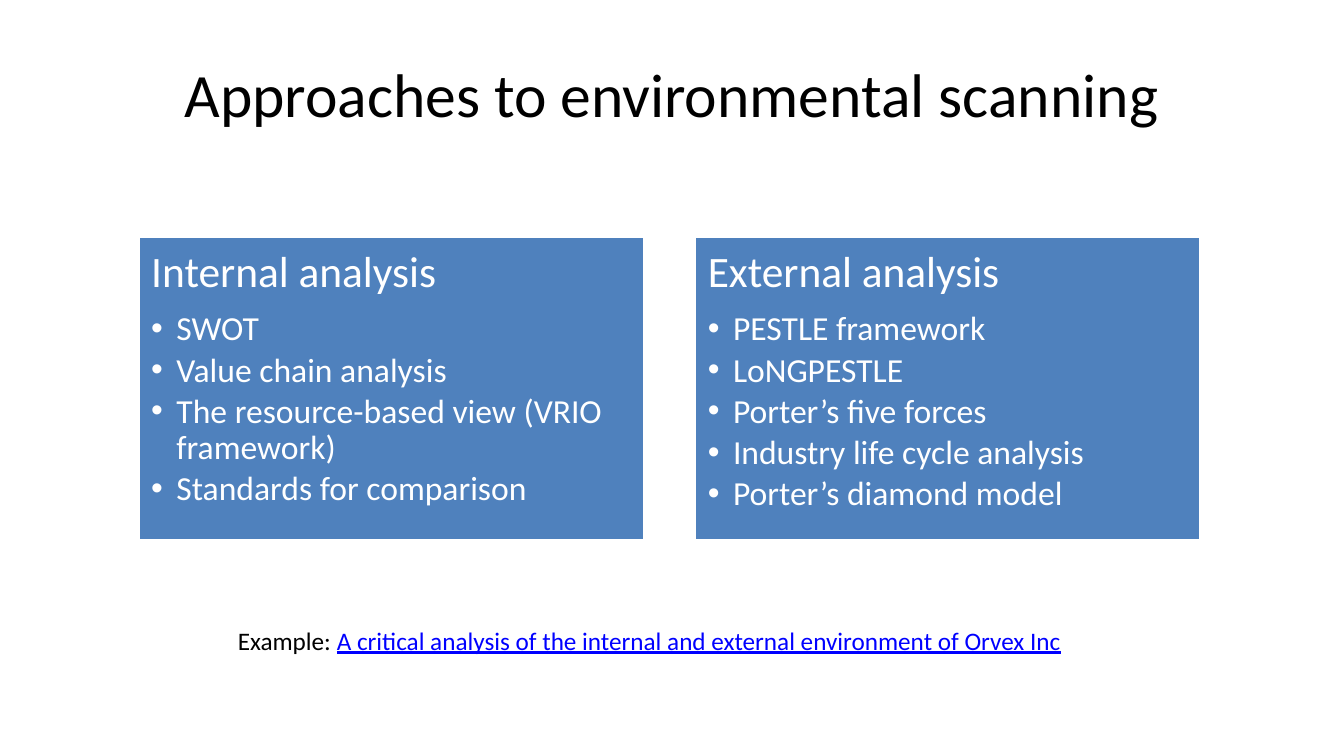
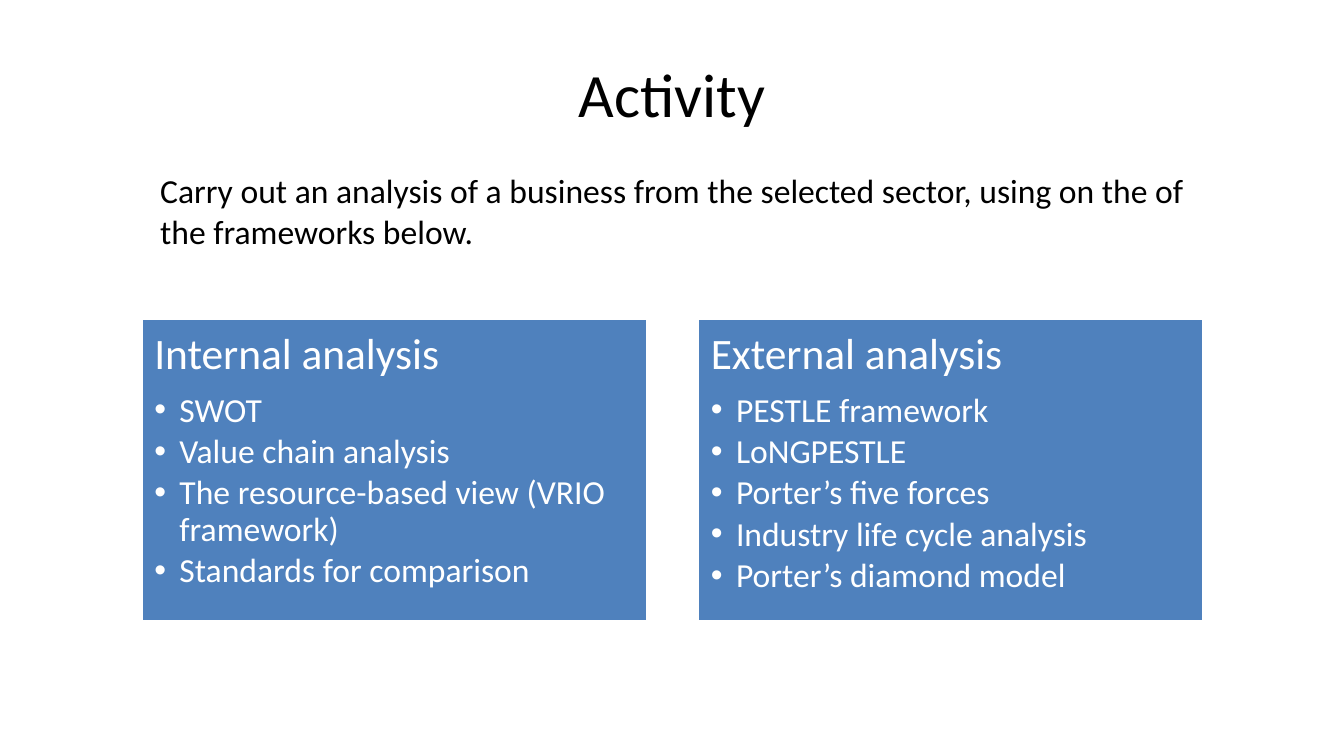
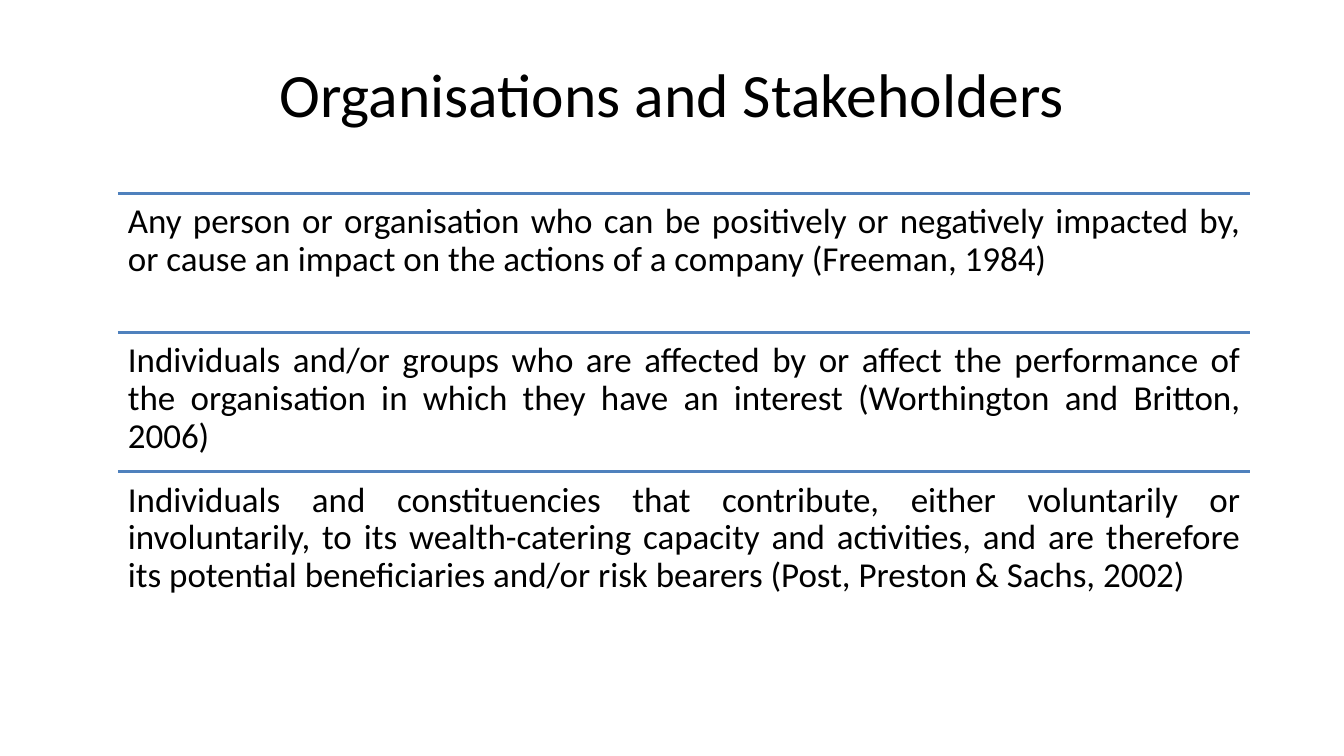
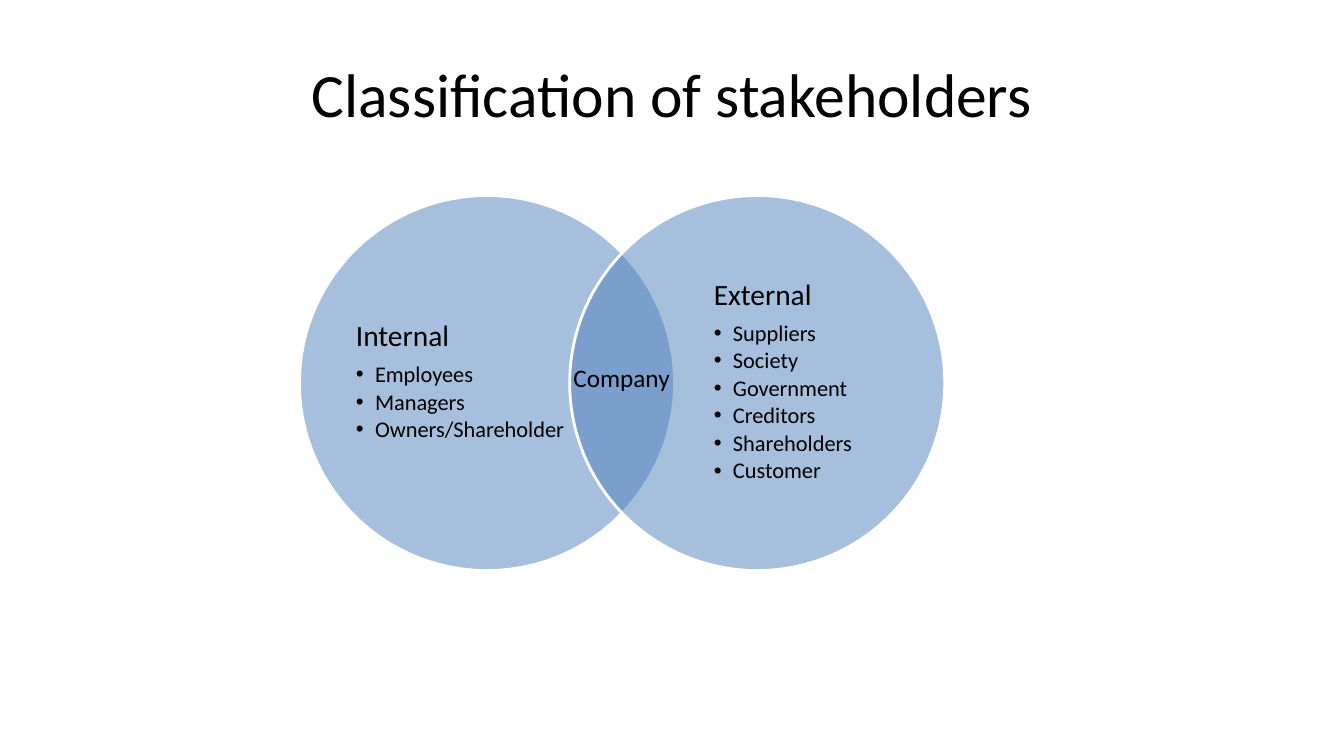
from pptx import Presentation
from pptx.dml.color import RGBColor
from pptx.enum.shapes import MSO_CONNECTOR, MSO_SHAPE
from pptx.enum.text import MSO_ANCHOR as ANCHOR, PP_ALIGN as ALIGN
from pptx.oxml.ns import qn
from pptx.util import Emu, Pt
from lxml import etree

PX = 9144  # EMU per px, 100 px to the inch
COLORS = {"accent": "4F81BD", "white": "FFFFFF", "black": "000000", "link": "0000FF"}

INTERNAL = ["Internal analysis", "SWOT", "Value chain analysis",
            "The resource-based view (VRIO framework)", "Standards for comparison"]
EXTERNAL = ["External analysis", "PESTLE framework", "LoNGPESTLE", "Porter’s five forces",
            "Industry life cycle analysis", "Porter’s diamond model"]
DEFINITIONS = [
    "Any person or organisation who can be positively or negatively impacted by, "
    "or cause an impact on the actions of a company (Freeman, 1984)",
    "Individuals and/or groups who are affected by or affect the performance of the "
    "organisation in which they have an interest (Worthington and Britton, 2006)",
    "Individuals and constituencies that contribute, either voluntarily or involuntarily, "
    "to its wealth-catering capacity and activities, and are therefore its potential "
    "beneficiaries and/or risk bearers (Post, Preston & Sachs, 2002)",
]
INSIDERS = ["Internal", "Employees", "Managers", "Owners/Shareholder"]
OUTSIDERS = ["External", "Suppliers", "Society", "Government", "Creditors",
             "Shareholders", "Customer"]


def px(*lengths):
    return [Emu(n * PX) for n in lengths]


def rgb(name):
    return RGBColor.from_string(COLORS[name])


class Deck:
    font = "Calibri"
    line_width = Pt(2)
    tight = 0.9           # line spacing inside diagrams
    head_gap = 0.34       # space after, as a share of the text size
    item_gap = 0.15

    def __init__(self):
        self.prs = Presentation()
        self.prs.slide_width, self.prs.slide_height = px(1333, 750)

    def slide(self, title):
        self.s = self.prs.slides.add_slide(self.prs.slide_layouts[6])
        self.text(title, 67, 30, 1199, 125, 44, align=ALIGN.CENTER, anchor=ANCHOR.MIDDLE)

    def style(self, target, size, color):
        f = target.font
        f.name, f.size, f.color.rgb = self.font, Pt(size), rgb(color)

    def frame(self, sp, inset=None, anchor=ANCHOR.TOP):
        tf = sp.text_frame
        tf.word_wrap, tf.vertical_anchor = True, anchor
        if inset is not None:
            tf.margin_left = tf.margin_top = tf.margin_right = tf.margin_bottom = px(inset)[0]
        return tf

    def text(self, text, x, y, w, h, size, align=ALIGN.LEFT, anchor=ANCHOR.TOP,
             inset=None, spacing=None):
        tf = self.frame(self.s.shapes.add_textbox(*px(x, y, w, h)), inset, anchor)
        p = tf.paragraphs[0]
        p.text, p.alignment, p.line_spacing = text, align, spacing
        self.style(p.runs[0], size, "black")
        return p

    def link(self, p, text, size):
        r = p.add_run()
        r.text = text
        self.style(r, size, "link")
        r.font.underline = True

    def shape(self, kind, x, y, w, h, alpha=None):
        sp = self.s.shapes.add_shape(kind, *px(x, y, w, h))
        sp.shadow.inherit = False
        sp.fill.solid()
        sp.fill.fore_color.rgb = rgb("accent")
        sp.line.color.rgb, sp.line.width = rgb("white"), self.line_width
        if alpha:
            clr = sp.fill._xPr.find(qn("a:solidFill"))[0]
            etree.SubElement(clr, qn("a:alpha"), val=str(alpha * 1000))
        return sp

    def heading_list(self, tf, texts, sizes, indent, color):
        for i, text in enumerate(texts):
            p = tf.add_paragraph() if i else tf.paragraphs[0]
            p.text, p.alignment, p.line_spacing = text, ALIGN.LEFT, self.tight
            size, gap = (sizes[1], self.item_gap) if i else (sizes[0], self.head_gap)
            if i:
                p.level = 1
                pPr = p._p.get_or_add_pPr()
                pPr.set("marL", str(indent * PX))
                pPr.set("indent", str(-indent * PX))
                etree.SubElement(pPr, qn("a:buFont"), typeface="Arial")
                etree.SubElement(pPr, qn("a:buChar"), char="•")
            p.space_after = Pt(size * gap)
            self.style(p.runs[0], size, color)

    def panels(self, x, y):
        for i, texts in enumerate((INTERNAL, EXTERNAL)):
            sp = self.shape(MSO_SHAPE.RECTANGLE, x + i * 552, y, 502, 301)
            self.heading_list(self.frame(sp, 13), texts, (31, 24), 25, "white")

    def rule(self, x, y, w):
        c = self.s.shapes.add_connector(MSO_CONNECTOR.STRAIGHT, *px(x, y, x + w, y))
        c.line.color.rgb, c.line.width = rgb("accent"), self.line_width
        etree.SubElement(c._element.spPr, qn("a:effectLst"))

    def circle(self, x, y, d):
        self.shape(MSO_SHAPE.OVAL, x, y, d, d, alpha=50)

    def circle_list(self, texts, x, y, w, h):
        sp = self.s.shapes.add_textbox(*px(x, y, w, h))
        self.heading_list(self.frame(sp, 0, ANCHOR.MIDDLE), texts, (21, 16), 19, "black")


def main():
    d = Deck()

    # Approaches
    d.slide("Approaches to environmental scanning")
    d.panels(137, 235)
    p = d.text("Example: ", 226, 615, 881, 40, 18)
    d.link(p, "A critical analysis of the internal and external environment of Orvex Inc", 18)

    # Activity
    d.slide("Activity")
    d.text("Carry out an analysis of a business from the selected sector, "
           "using on the of the frameworks below.",
           149, 164, 1035, 91, 24, align=ALIGN.JUSTIFY)
    d.panels(140, 316)

    # Definitions, one under each rule
    d.slide("Organisations and Stakeholders")
    for i, text in enumerate(DEFINITIONS):
        y = 192 + i * 138
        d.rule(117, y, 1123)
        d.text(text, 117, y, 1123, 138, 25, align=ALIGN.JUSTIFY, inset=10, spacing=d.tight)

    # Overlapping circles
    d.slide("Classification of stakeholders")
    for circle_x, list_x, texts in ((297, 353, INSIDERS), (565, 708, OUTSIDERS)):
        d.circle(circle_x, 194, 372)
        d.circle_list(texts, list_x, 237, 214, 284)
    d.text("Company", 555, 355, 123, 40, 18, align=ALIGN.CENTER)

    d.prs.save("out.pptx")


if __name__ == "__main__":
    main()
